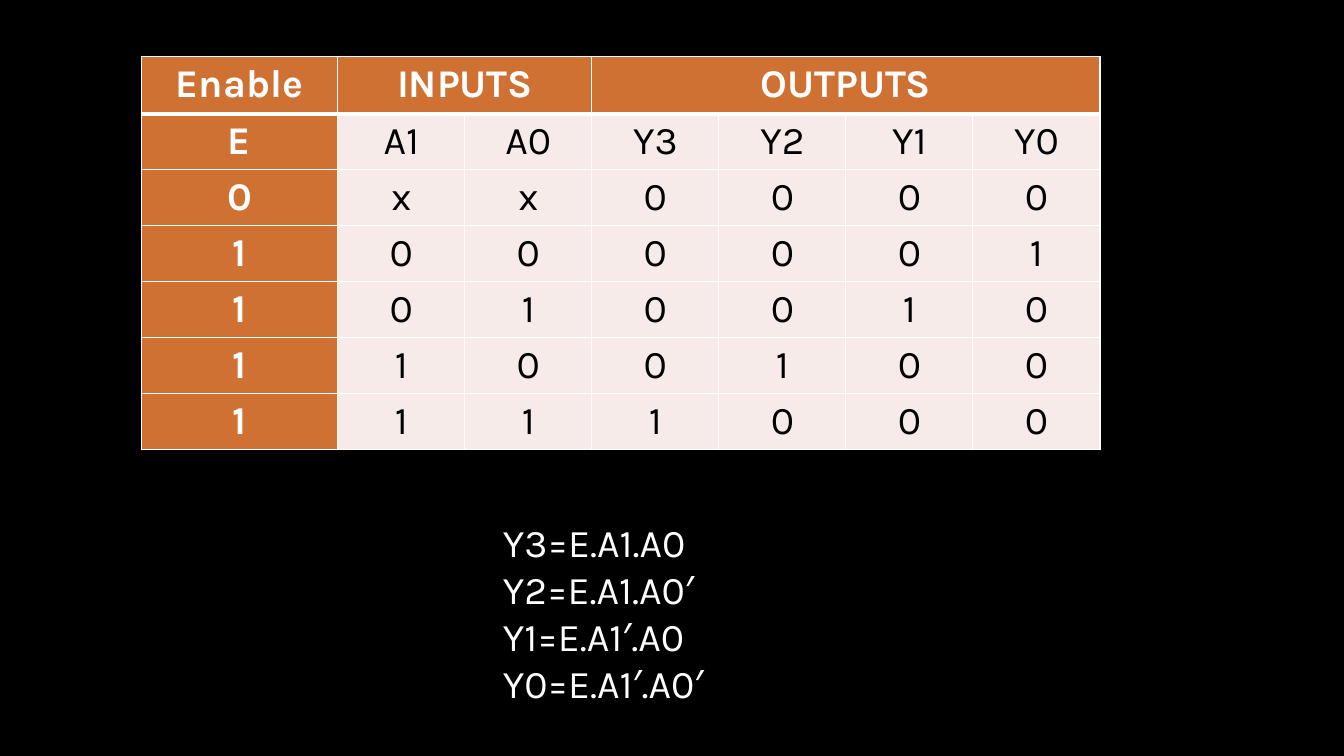
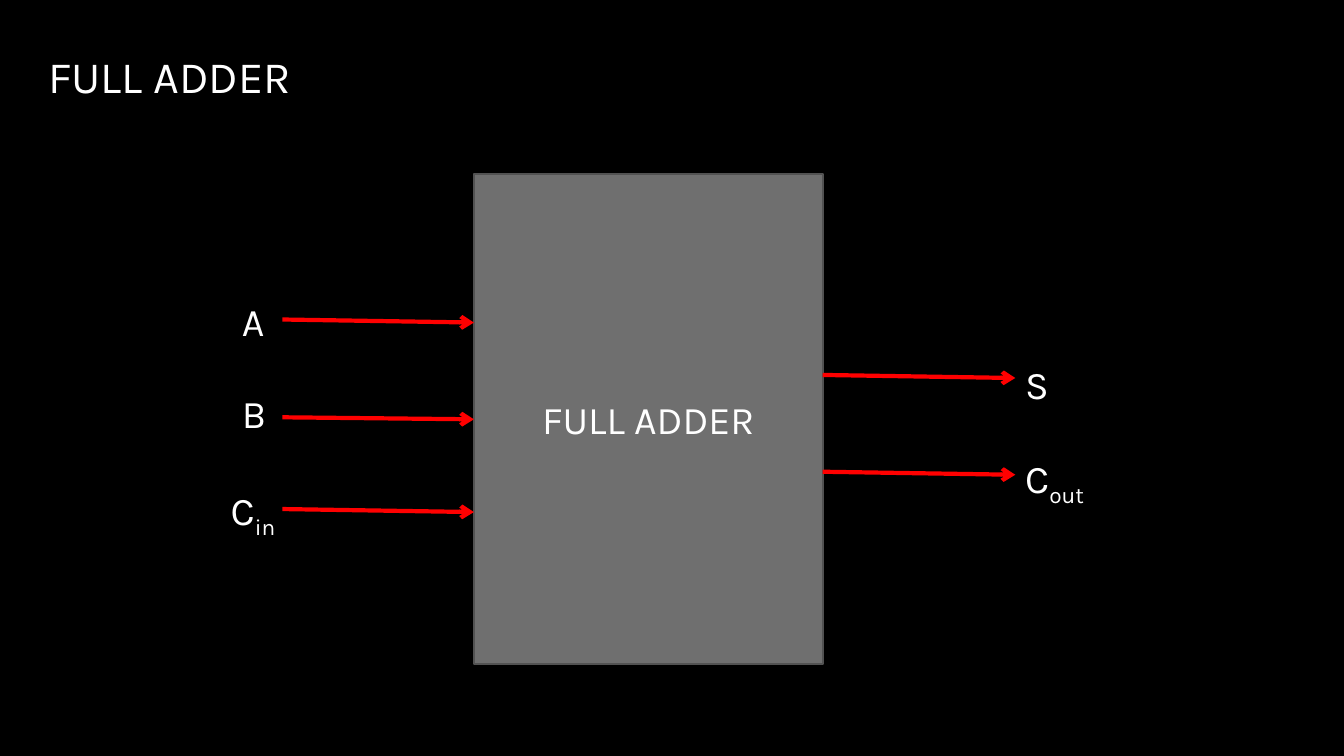
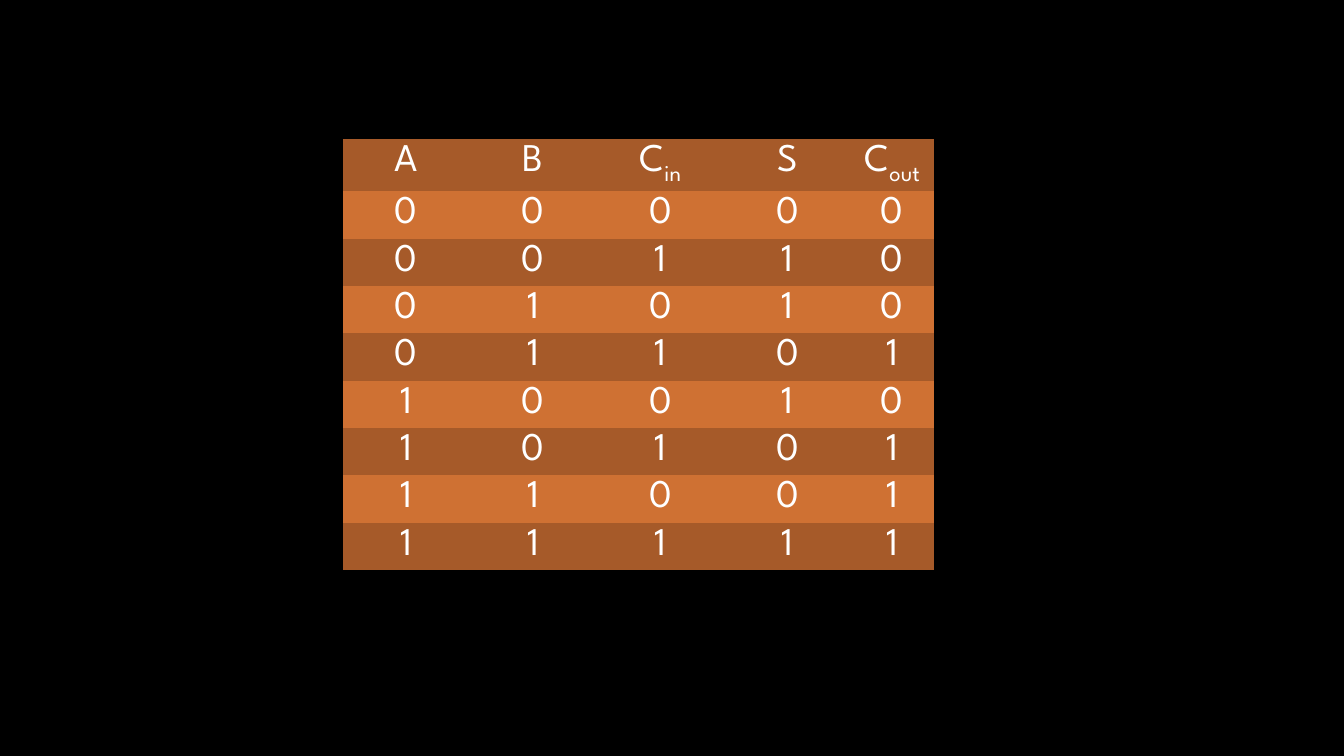
import pptx
import pptx.dml.color
import pptx.enum.shapes
import pptx.enum.text
import pptx.oxml.ns
import pptx.util
from lxml import etree

PX = 9144  # EMU per px, 100 px to the inch

BLACK = pptx.dml.color.RGBColor(0x00, 0x00, 0x00)
WHITE = pptx.dml.color.RGBColor(0xFF, 0xFF, 0xFF)
SILVER = pptx.dml.color.RGBColor(0xA6, 0xA6, 0xA6)
ORANGE = pptx.dml.color.RGBColor(0xCF, 0x71, 0x33)
BROWN = pptx.dml.color.RGBColor(0xA6, 0x5A, 0x29)
BLUSH = pptx.dml.color.RGBColor(0xF6, 0xEB, 0xE8)
GRAY = pptx.dml.color.RGBColor(0x6F, 0x6F, 0x6F)
DARK_GRAY = pptx.dml.color.RGBColor(0x52, 0x52, 0x52)
RED = pptx.dml.color.RGBColor(0xFF, 0x00, 0x00)

BODY_FONT = "Karla"
TABLE_FONT = "League Spartan"
BODY_SIZE = 28
TITLE_SIZE = 32
COLUMN = 126
ROW = 47
PLAIN_TABLE_STYLE = "{2D5ABB26-0587-4C30-8999-92F81FD0307C}"
CENTER = pptx.enum.text.PP_ALIGN.CENTER
MIDDLE = pptx.enum.text.MSO_ANCHOR.MIDDLE

DECODER_ROWS = [
    "E A1 A0 Y3 Y2 Y1 Y0",
    "0 x x 0 0 0 0",
    "1 0 0 0 0 0 1",
    "1 0 1 0 0 1 0",
    "1 1 0 0 1 0 0",
    "1 1 1 1 0 0 0",
]
FORMULAS = ["Y3=E.A1.A0", "Y2=E.A1.A0′", "Y1=E.A1′.A0", "Y0=E.A1′.A0′"]
ADDER_ROWS = [
    "A B C_in S C_out",
    "0 0 0 0 0",
    "0 0 1 1 0",
    "0 1 0 1 0",
    "0 1 1 0 1",
    "1 0 0 1 0",
    "1 0 1 0 1",
    "1 1 0 0 1",
    "1 1 1 1 1",
]


def px(*lengths):
    return [pptx.util.Emu(length * PX) for length in lengths]


def add_blank_slide(deck):
    return deck.slides.add_slide(deck.slide_layouts[6])


def write_text(para, text, color=WHITE, font=BODY_FONT, bold=False, align=None):
    """Fill a paragraph; what follows an underscore becomes a subscript."""
    para.alignment = align
    for index, part in enumerate(text.split("_")):
        span = para.add_run()
        span.text = part
        span.font.name = font
        span.font.size = pptx.util.Pt(BODY_SIZE)
        span.font.bold = bold
        span.font.color.rgb = color
        if index:
            span.font._element.set("baseline", "-25000")


def add_text(slide, left, top, width, height, lines):
    box = slide.shapes.add_textbox(*px(left, top, width, height))
    frame = box.text_frame
    frame.word_wrap = True
    frame.auto_size = pptx.enum.text.MSO_AUTO_SIZE.SHAPE_TO_FIT_TEXT
    for index, line in enumerate(lines):
        para = frame.add_paragraph() if index else frame.paragraphs[0]
        write_text(para, line)


def add_title(slide, text):
    box = slide.shapes.add_textbox(*px(38, 20, 1083, 110))
    box.text_frame.word_wrap = True
    box.text_frame.vertical_anchor = MIDDLE
    box.text_frame.text = text
    font = box.text_frame.paragraphs[0].runs[0].font
    font.name = BODY_FONT
    font.size = pptx.util.Pt(TITLE_SIZE)
    font.fill.gradient()
    font.fill.gradient_angle = 267
    for stop, color in zip(font.fill.gradient_stops, (WHITE, SILVER)):
        stop.color.rgb = color


def add_block(slide, left, top, width, height, text):
    block = slide.shapes.add_shape(
        pptx.enum.shapes.MSO_SHAPE.RECTANGLE, *px(left, top, width, height))
    block.shadow.inherit = False
    block.fill.solid()
    block.fill.fore_color.rgb = GRAY
    block.line.color.rgb = DARK_GRAY
    block.line.width = pptx.util.Pt(1.5)
    block.text_frame.vertical_anchor = MIDDLE
    write_text(block.text_frame.paragraphs[0], text, align=CENTER)
    return block


def add_arrow(slide, left, top, length):
    """Draw a red arrow to the right that drops slightly."""
    arrow = slide.shapes.add_connector(
        pptx.enum.shapes.MSO_CONNECTOR.STRAIGHT,
        *px(left, top, left + length, top + 3))
    arrow.line.color.rgb = RED
    arrow.line.width = pptx.util.Pt(3)
    outline = arrow.line._get_or_add_ln()
    etree.SubElement(outline, pptx.oxml.ns.qn("a:tailEnd"), type="arrow")
    properties = arrow._element.spPr
    etree.SubElement(properties, pptx.oxml.ns.qn("a:effectLst"))
    return arrow


def add_plain_table(slide, left, top, columns, rows):
    """Add a table without style borders, sized by its columns and rows."""
    frame = slide.shapes.add_table(
        len(rows), len(columns), *px(left, top, sum(columns), sum(rows)))
    table = frame.table
    table.horz_banding = False
    style = next(frame._element.iter(pptx.oxml.ns.qn("a:tableStyleId")))
    style.text = PLAIN_TABLE_STYLE
    for column, width in zip(table.columns, px(*columns)):
        column.width = width
    for row, height in zip(table.rows, px(*rows)):
        row.height = height
    return table


def set_borders(cell, top, bottom):
    """Draw white borders; top and bottom are widths in points."""
    properties = cell._tc.get_or_add_tcPr()
    for side, points in (("L", 1), ("R", 1), ("T", top), ("B", bottom)):
        line = etree.SubElement(
            properties, pptx.oxml.ns.qn("a:ln" + side),
            w=str(pptx.util.Pt(points)))
        fill = etree.SubElement(line, pptx.oxml.ns.qn("a:solidFill"))
        etree.SubElement(fill, pptx.oxml.ns.qn("a:srgbClr"), val=str(WHITE))


def fill_cell(cell, text, fill, **text_style):
    cell.fill.solid()
    cell.fill.fore_color.rgb = fill
    write_text(cell.text_frame.paragraphs[0], text, align=CENTER, **text_style)


def build_decoder_slide(deck):
    slide = add_blank_slide(deck)
    table = add_plain_table(
        slide, 140, 56, [195] + [COLUMN] * 6, [57] + [ROW] * len(DECODER_ROWS))
    for row in range(len(table.rows)):
        for column in range(len(table.columns)):
            set_borders(table.cell(row, column),
                        top=3 if row == 1 else 1, bottom=3 if row == 0 else 1)
    for text, first, last in (("Enable", 0, 0), ("INPUTS", 1, 2), ("OUTPUTS", 3, 6)):
        if last > first:
            table.cell(0, first).merge(table.cell(0, last))
        fill_cell(table.cell(0, first), text, ORANGE, bold=True)
    for row, line in enumerate(DECODER_ROWS, 1):
        enable, *values = line.split()
        fill_cell(table.cell(row, 0), enable, ORANGE, bold=True)
        for column, value in enumerate(values, 1):
            fill_cell(table.cell(row, column), value, BLUSH, color=BLACK)
    add_text(slide, 489, 509, 288, 198, FORMULAS)


def build_adder_diagram_slide(deck):
    slide = add_blank_slide(deck)
    add_title(slide, "FULL ADDER")
    block = add_block(slide, 470, 173, 346, 486, "FULL ADDER")
    inputs = [add_arrow(slide, 280, top, 190) for top in (317, 414, 505)]
    inputs[1].end_connect(block, 1)
    for top in (372, 468):
        add_arrow(slide, 816, top, 191)
    for text, left, top, width in (
            ("A", 230, 290, 36), ("B", 230, 381, 36), ("C_in", 219, 478, 91),
            ("S", 1007, 353, 109), ("C_out", 1007, 446, 109)):
        add_text(slide, left, top, width, 57, [text])


def build_adder_table_slide(deck):
    slide = add_blank_slide(deck)
    table = add_plain_table(
        slide, 340, 138, [COLUMN] * 4 + [82], [ROW] * len(ADDER_ROWS))
    for row, line in enumerate(ADDER_ROWS):
        for column, value in enumerate(line.split()):
            fill_cell(table.cell(row, column), value,
                      ORANGE if row % 2 else BROWN, font=TABLE_FONT)


def main():
    deck = pptx.Presentation()
    deck.slide_width, deck.slide_height = px(1333, 750)
    background = deck.slide_master.background.fill
    background.solid()
    background.fore_color.rgb = BLACK
    build_decoder_slide(deck)
    build_adder_diagram_slide(deck)
    build_adder_table_slide(deck)
    deck.save("out.pptx")


if __name__ == "__main__":
    main()
